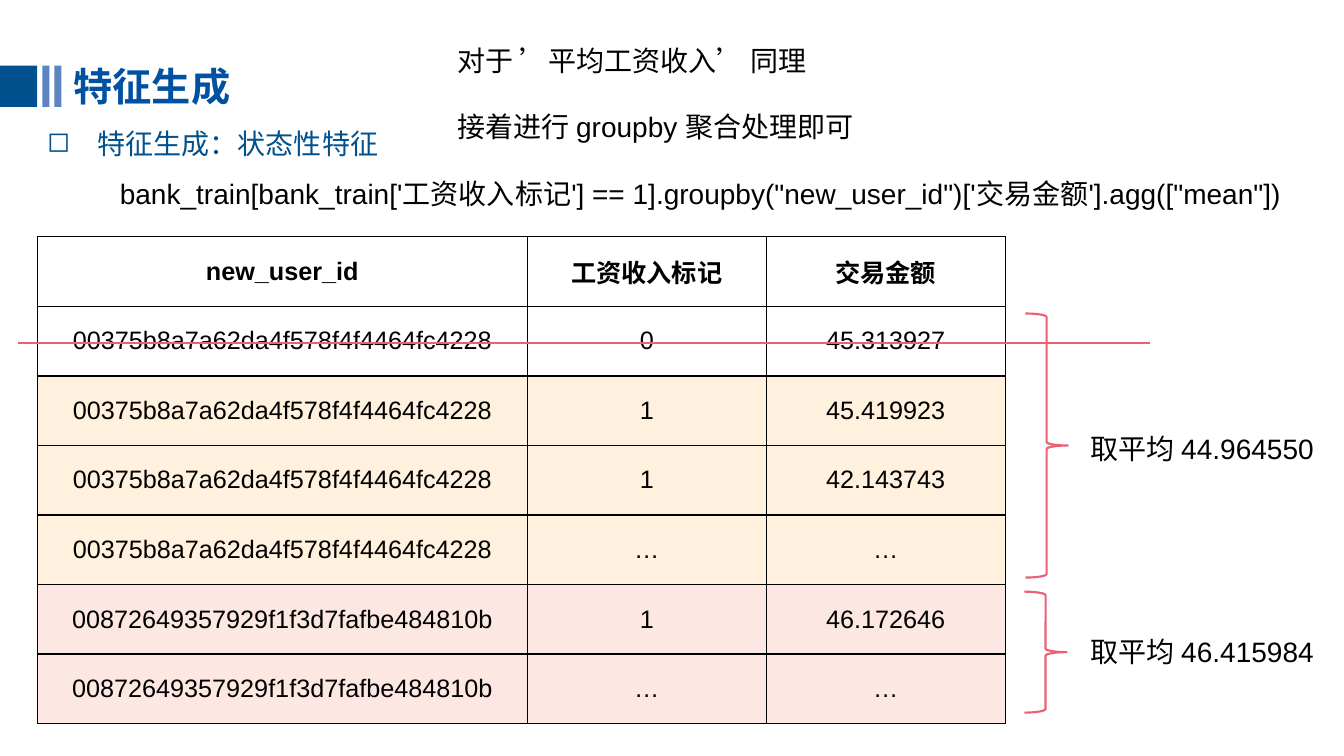
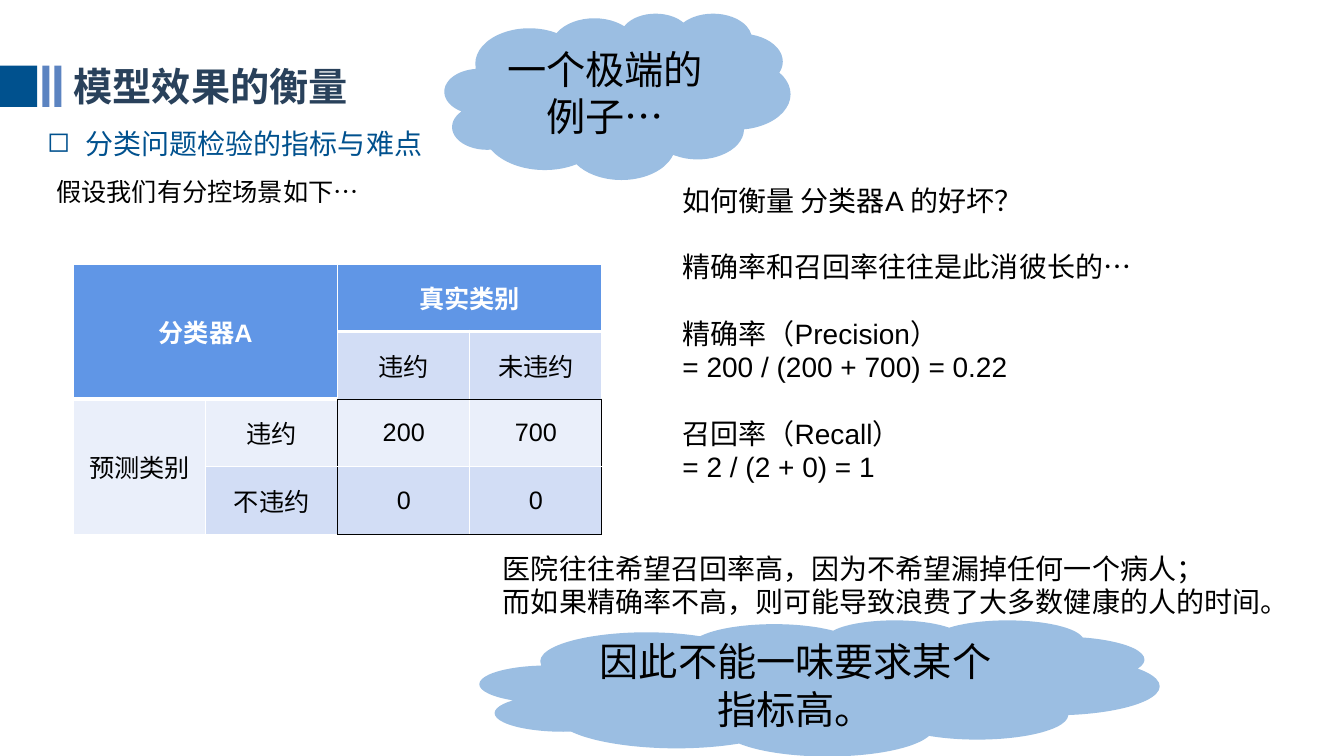
from lxml import etree
from pptx import Presentation
from pptx import util as u
from pptx.dml.color import RGBColor
from pptx.enum import shapes, text
from pptx.oxml.ns import qn

PX = 9144
COLORS = {
    "black": "000000", "white": "FFFFFF", "navy": "00518E", "bar": "5C84C1",
    "title": "0051A1", "slate": "29415B", "red": "EC5F74", "cloud": "9BBEE2",
    "cream": "FFF1DD", "rose": "FCE7E2", "head": "6096E6",
    "band": "D2DDF5", "pale": "EAEFFA",
}
BODY_FONT, TITLE_FONT = "Arial", "Noto Sans CJK SC"
STEPS = {"L": (0, -1), "R": (0, 1), "T": (-1, 0), "B": (1, 0)}
USER_A = "00375b8a7a62da4f578f4f4464fc4228"
USER_B = "00872649357929f1f3d7fafbe484810b"
WAGE_ROWS = [
    ("white", ("new_user_id", "工资收入标记", "交易金额")),
    ("white", (USER_A, "0", "45.313927")),
    ("cream", (USER_A, "1", "45.419923")),
    ("cream", (USER_A, "1", "42.143743")),
    ("cream", (USER_A, "…", "…")),
    ("rose", (USER_B, "1", "46.172646")),
    ("rose", (USER_B, "…", "…")),
]
MATRIX_ROWS = [
    (("分类器A", "head"), ("", "head"), ("真实类别", "head"), ("", "head")),
    (("", "head"), ("", "head"), ("违约", "band"), ("未违约", "band")),
    (("预测类别", "pale"), ("违约", "pale"), ("200", "pale"), ("700", "pale")),
    (("", "pale"), ("不违约", "band"), ("0", "band"), ("0", "band")),
]
MATRIX_MERGES = [((0, 0), (1, 1)), ((0, 2), (0, 3)), ((2, 0), (3, 0))]


def rgb(name):
    return RGBColor.from_string(COLORS[name])


def emu(*lengths):
    return [u.Emu(length * PX) for length in lengths]


def write(frame, *lines, size=20, color="black", bold=False, font=BODY_FONT,
          align=text.PP_ALIGN.LEFT, gaps=(), indent=0, spacing=None):
    frame.word_wrap = True
    for index, line in enumerate(lines):
        para = frame.paragraphs[0] if index == 0 else frame.add_paragraph()
        para.alignment = align
        if spacing:
            para.line_spacing = spacing
        if index in gaps:
            para.space_before = u.Pt(size * 1.17)
        if indent:
            props = para._p.get_or_add_pPr()
            props.set("marL", str(indent * PX))
            props.set("indent", str(-indent * PX))
            etree.SubElement(props, qn("a:buChar")).set("char", "◻")
        span = para.add_run()
        span.text = line
        span.font.size = u.Pt(size)
        span.font.bold = bold
        span.font.name = font
        span.font.color.rgb = rgb(color)


def add_text(page, at, *lines, **style):
    box = page.shapes.add_textbox(*emu(*at))
    write(box.text_frame, *lines, **style)


def add_filled(page, kind, at, fill):
    shape = page.shapes.add_shape(kind, *emu(*at))
    shape.shadow.inherit = False
    shape.fill.solid()
    shape.fill.fore_color.rgb = rgb(fill)
    shape.line.fill.background()
    return shape


def add_cloud(page, at, words):
    cloud = add_filled(page, shapes.MSO_SHAPE.CLOUD, at, "cloud")
    cloud.text_frame.vertical_anchor = text.MSO_ANCHOR.MIDDLE
    write(cloud.text_frame, words, size=28, align=text.PP_ALIGN.CENTER)


def add_brace(page, at):
    brace = page.shapes.add_shape(shapes.MSO_SHAPE.RIGHT_BRACE, *emu(*at))
    brace.shadow.inherit = False
    brace.fill.background()
    brace.line.color.rgb = rgb("red")
    brace.line.width = u.Pt(1.5)


def add_line(page, start, end):
    line = page.shapes.add_connector(shapes.MSO_CONNECTOR.STRAIGHT, *emu(*start, *end))
    line.line.color.rgb = rgb("red")
    line.line.width = u.Pt(1.5)
    etree.SubElement(line._element.spPr, qn("a:effectLst"))


def add_page(deck, heading, color, subtitle, indent):
    page = deck.slides.add_slide(deck.slide_layouts[5])
    title = page.shapes.title
    title.left, title.top, title.width, title.height = emu(63, 57, 546, 57)
    frame = title.text_frame
    frame.auto_size = text.MSO_AUTO_SIZE.NONE
    frame.vertical_anchor = text.MSO_ANCHOR.MIDDLE
    write(frame, heading, size=28, color=color, bold=True, font=TITLE_FONT)
    for left, width, fill in ((0, 37, "navy"), (42, 7, "bar"), (54, 7, "bar")):
        add_filled(page, shapes.MSO_SHAPE.RECTANGLE, (left, 65, width, 41), fill)
    add_text(page, (37, 114, 946, 47), subtitle, color="navy", indent=indent, spacing=1.2)
    return page


def set_edge(cell, position, side, color, width):
    props = cell._tc.get_or_add_tcPr()
    edge = etree.Element(qn("a:ln" + side), w=str(u.Pt(width)))
    fill = etree.SubElement(edge, qn("a:solidFill"))
    etree.SubElement(fill, qn("a:srgbClr")).set("val", COLORS[color])
    props.insert(position, edge)


def add_grid(page, left, top, widths, height, rows, edge_rule, is_head):
    size = emu(left, top, sum(widths), height * len(rows))
    table = page.shapes.add_table(len(rows), len(widths), *size).table
    table.first_row = table.horz_banding = False
    for column, width in zip(table.columns, widths):
        column.width = u.Emu(width * PX)
    for r, row in enumerate(rows):
        table.rows[r].height = u.Emu(height * PX)
        for c, (words, fill) in enumerate(row):
            cell = table.cell(r, c)
            cell.fill.solid()
            cell.fill.fore_color.rgb = rgb(fill)
            cell.vertical_anchor = text.MSO_ANCHOR.MIDDLE
            for position, side in enumerate(STEPS):
                set_edge(cell, position, side, *edge_rule(r, c, side))
            if words:
                write(cell.text_frame, words, size=18, bold=is_head(r, fill),
                      color="white" if fill == "head" else "black",
                      align=text.PP_ALIGN.CENTER)
    return table


def in_counts(r, c):
    return r in (2, 3) and c in (2, 3)


def matrix_edge(r, c, side):
    down, across = STEPS[side]
    if in_counts(r, c) != in_counts(r + down, c + across):
        return "black", 1
    is_thick = side == "B" and MATRIX_ROWS[r][c][1] == "head"
    return "white", 3 if is_thick else 1


def build_feature_page(deck):
    page = add_page(deck, "特征生成", "title", "特征生成：状态性特征", 50)
    add_text(page, (444, 38, 581, 111), "对于 ’平均工资收入’ 同理",
             "接着进行 groupby 聚合处理即可", gaps=(1,))
    add_text(page, (109, 170, 1213, 44),
             "bank_train[bank_train['工资收入标记'] == 1]"
             ".groupby(\"new_user_id\")['交易金额'].agg([\"mean\"])")
    rows = [[(words, fill) for words in row] for fill, row in WAGE_ROWS]
    add_grid(page, 37, 235, (486, 237, 237), 69, rows,
             lambda r, c, side: ("black", 1), lambda r, fill: r == 0)
    add_line(page, (18, 340), (1141, 340))
    add_brace(page, (1017, 311, 42, 262))
    add_brace(page, (1016, 587, 42, 120))
    for top, mean in ((423, "44.964550"), (625, "46.415984")):
        add_text(page, (1072, top, 261, 44), "取平均 " + mean)


def build_metrics_page(deck):
    page = add_page(deck, "模型效果的衡量", "slate", "分类问题检验的指标与难点", 38)
    add_text(page, (46, 170, 498, 40), "假设我们有分控场景如下…", size=18)
    table = add_grid(page, 73, 262, (131,) * 4, 67, MATRIX_ROWS,
                     matrix_edge, lambda r, fill: fill == "head")
    for first, last in MATRIX_MERGES:
        table.cell(*first).merge(table.cell(*last))
    add_text(page, (667, 177, 613, 313), "如何衡量 分类器A 的好坏？",
             "精确率和召回率往往是此消彼长的…",
             "精确率（Precision）", "= 200 / (200 + 700) = 0.22",
             "召回率（Recall）", "= 2 / (2 + 0) = 1", gaps=(1, 2, 4))
    add_cloud(page, (441, 13, 343, 165), "一个极端的例子…")
    add_text(page, (489, 542, 827, 77),
             "医院往往希望召回率高，因为不希望漏掉任何一个病人；",
             "而如果精确率不高，则可能导致浪费了大多数健康的人的时间。")
    add_cloud(page, (476, 615, 674, 135), "因此不能一味要求某个指标高。")


def main():
    deck = Presentation()
    deck.slide_width, deck.slide_height = emu(1333, 750)
    build_feature_page(deck)
    build_metrics_page(deck)
    deck.save("out.pptx")


if __name__ == "__main__":
    main()
